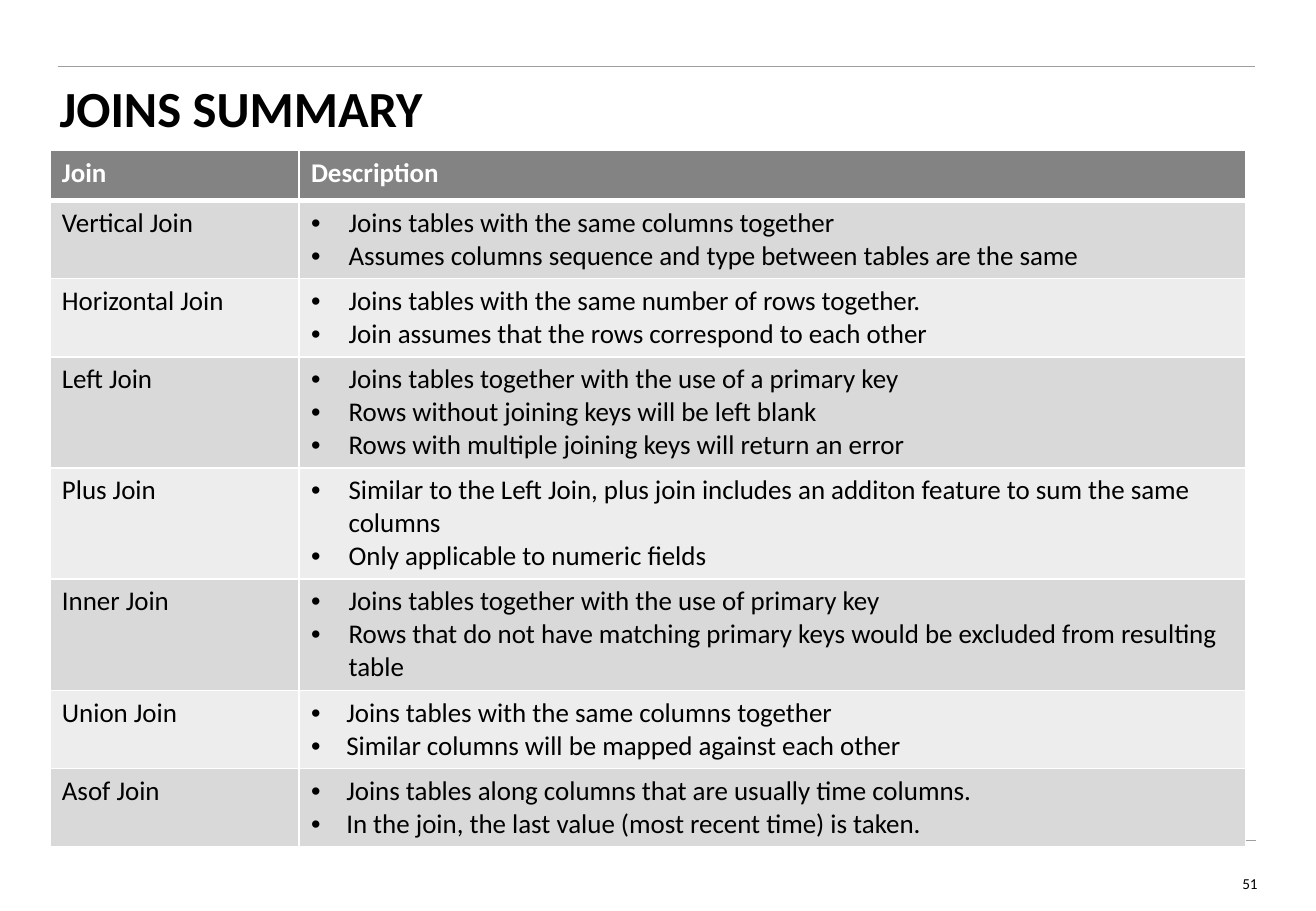
from pptx import Presentation
from pptx.dml.color import RGBColor
from pptx.enum.shapes import MSO_CONNECTOR
from pptx.enum.text import MSO_ANCHOR, MSO_AUTO_SIZE, PP_ALIGN
from pptx.oxml.ns import qn
from pptx.util import Inches, Pt
from lxml import etree

TITLE = "JOINS SUMMARY"
PAGE_NUMBER = "51"
HEADER = ("Join", "Description")
# name, bullet indent, lines of text in the row, bullets
JOINS = [
    ("Vertical Join", 0.31, 2, [
        "Joins tables with the same columns together",
        "Assumes columns sequence and type between tables are the same"]),
    ("Horizontal Join", 0.31, 2, [
        "Joins tables with the same number of rows together.",
        "Join assumes that the rows correspond to each other"]),
    ("Left Join", 0.31, 3, [
        "Joins tables together with the use of a primary key",
        "Rows without joining keys will be left blank",
        "Rows with multiple joining keys will return an error"]),
    ("Plus Join", 0.31, 3, [
        "Similar to the Left Join, plus join includes an additon feature to sum the same columns",
        "Only applicable to numeric fields"]),
    ("Inner Join", 0.31, 3, [
        "Joins tables together with the use of primary key",
        "Rows that do not have matching primary keys would be excluded from resulting table"]),
    ("Union Join", 0.29, 2, [
        "Joins tables with the same columns together",
        "Similar columns will be mapped against each other"]),
    ("Asof Join", 0.29, 2, [
        "Joins tables along columns that are usually time columns.",
        "In the join, the last value (most recent time) is taken."]),
]
RULES = [(0.49, 6.92), (0.48, 0.55)]
RULE_WIDTH = 9.85
COLUMN_WIDTHS = (2.05, 7.79)
HEADER_HEIGHT, LINE_HEIGHT, CELL_PADDING = 0.41, 0.27, 0.1
FONT = "Calibri"
COLORS = {"text": "000000", "white": "FFFFFF", "rule": "9C9E9F",
          "header": "838383", "dark": "D9D9D9", "light": "EDEDED"}
LEFT, RIGHT = PP_ALIGN.LEFT, PP_ALIGN.RIGHT
TOP, MIDDLE = MSO_ANCHOR.TOP, MSO_ANCHOR.MIDDLE
STRAIGHT, NO_AUTOFIT = MSO_CONNECTOR.STRAIGHT, MSO_AUTO_SIZE.NONE


def color(name):
    return RGBColor.from_string(COLORS[name])


def add_run(p, text, size, color_name="text", bold=False):
    r = p.add_run()
    r.text = text
    r.font.name, r.font.size, r.font.bold = FONT, Pt(size), bold
    r.font.color.rgb = color(color_name)


def place_text(sp, left, top, width, height, anchor):
    """Move a text shape and strip its insets."""
    sp.left, sp.top = Inches(left), Inches(top)
    sp.width, sp.height = Inches(width), Inches(height)
    tf = sp.text_frame
    tf.margin_left = tf.margin_right = tf.margin_top = tf.margin_bottom = 0
    tf.word_wrap, tf.auto_size, tf.vertical_anchor = True, NO_AUTOFIT, anchor
    return tf.paragraphs[0]


def add_rule(slide, left, top):
    line = slide.shapes.add_connector(
        STRAIGHT, Inches(left), Inches(top), Inches(left + RULE_WIDTH), Inches(top))
    line.line.color.rgb = color("rule")
    line.line.width = Pt(0.5)
    etree.SubElement(line._element.spPr, qn("a:effectLst"))


def set_bullet(p, indent):
    pPr = p._p.get_or_add_pPr()
    pPr.set("marL", str(Inches(indent)))
    pPr.set("indent", str(-Inches(indent)))
    etree.SubElement(pPr, qn("a:buFont")).set("typeface", "Arial")
    etree.SubElement(pPr, qn("a:buChar")).set("char", "•")


def style_cell(cell, fill, top=1, bottom=1):
    """Fill a cell and give it white borders; top and bottom are in points."""
    tcPr = cell._tc.get_or_add_tcPr()
    for side, width in (("L", 1), ("R", 1), ("T", top), ("B", bottom)):
        ln = etree.SubElement(tcPr, qn("a:ln" + side), w=str(Pt(width)))
        solid = etree.SubElement(ln, qn("a:solidFill"))
        etree.SubElement(solid, qn("a:srgbClr"), val=COLORS["white"])
    cell.fill.solid()
    cell.fill.fore_color.rgb = color(fill)


def add_joins_table(slide):
    heights = [HEADER_HEIGHT] + [CELL_PADDING + LINE_HEIGHT * join[2] for join in JOINS]
    table = slide.shapes.add_table(
        len(heights), len(COLUMN_WIDTHS), Inches(0.41), Inches(1.24),
        Inches(sum(COLUMN_WIDTHS)), Inches(sum(heights))).table
    for column, width in zip(table.columns, COLUMN_WIDTHS):
        column.width = Inches(width)
    for row, height in zip(table.rows, heights):
        row.height = Inches(height)

    for col, label in enumerate(HEADER):
        cell = table.cell(0, col)
        style_cell(cell, "header", bottom=3)
        add_run(cell.text_frame.paragraphs[0], label, 16, "white", True)

    for row, (name, indent, _, bullets) in enumerate(JOINS, 1):
        name_cell, bullet_cell = table.cell(row, 0), table.cell(row, 1)
        for cell in (name_cell, bullet_cell):
            style_cell(cell, "dark" if row % 2 else "light", top=3 if row == 1 else 1)
        add_run(name_cell.text_frame.paragraphs[0], name, 16)
        tf = bullet_cell.text_frame
        for i, bullet in enumerate(bullets):
            p = tf.add_paragraph() if i else tf.paragraphs[0]
            set_bullet(p, indent)
            add_run(p, bullet, 16)


def main():
    prs = Presentation()
    prs.slide_width, prs.slide_height = Inches(10.83), Inches(7.5)
    slide = prs.slides.add_slide(prs.slide_layouts[5])

    for left, top in RULES:
        add_rule(slide, left, top)

    p = place_text(slide.shapes.title, 0.49, 0.69, 9.84, 0.89, TOP)
    p.alignment, p.line_spacing = LEFT, 0.9
    add_run(p, TITLE, 30, bold=True)

    add_joins_table(slide)

    number = slide.shapes.add_textbox(0, 0, 0, 0)
    p = place_text(number, 9.9, 7.21, 0.45, 0.12, MIDDLE)
    p.alignment = RIGHT
    add_run(p, PAGE_NUMBER, 9)

    prs.save("out.pptx")


if __name__ == "__main__":
    main()
